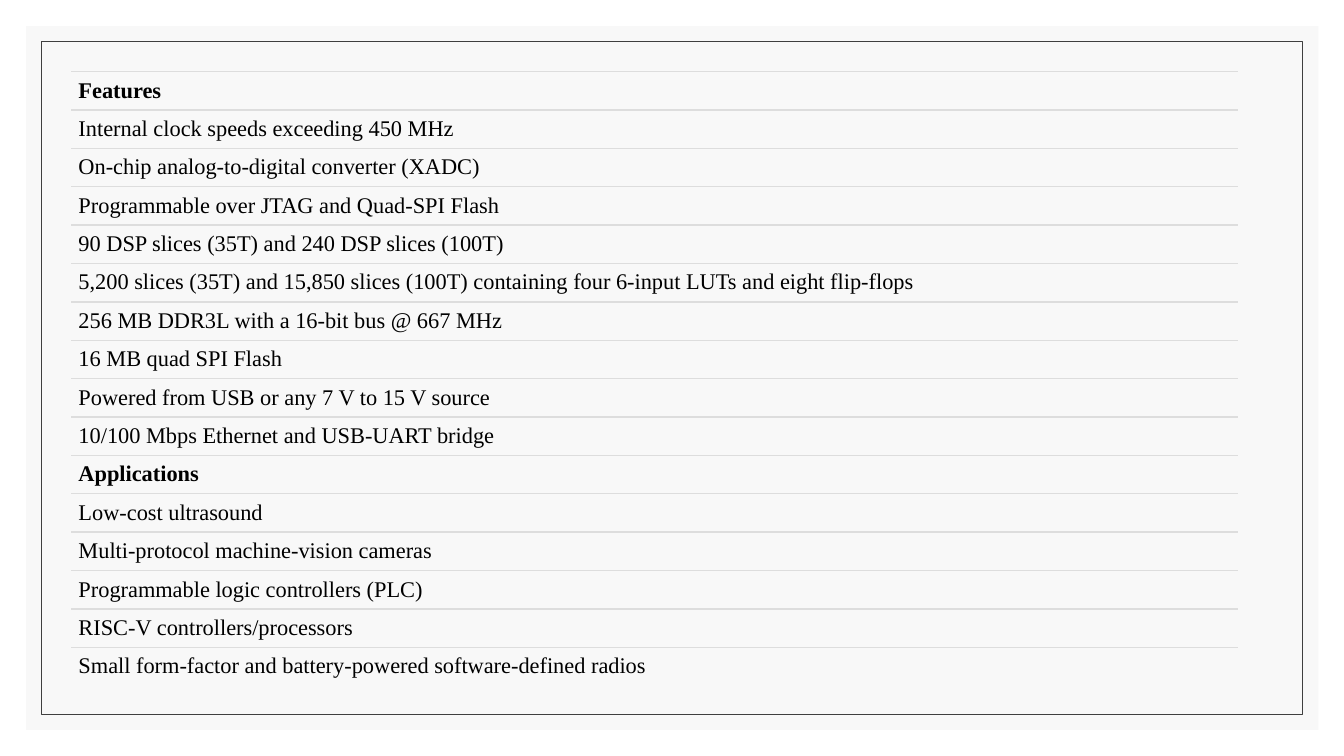
from lxml import etree
from pptx import Presentation
from pptx.dml.color import RGBColor
from pptx.enum import shapes, text
from pptx.oxml import ns
from pptx.util import Pt

BLACK = RGBColor(0x00, 0x00, 0x00)
PANEL_GREY = RGBColor(0xF8, 0xF8, 0xF8)
FRAME_GREY = RGBColor(0x3F, 0x3F, 0x3F)
RULE_GREY = RGBColor(0xDD, 0xDD, 0xDD)

FONT = "Times New Roman"
LIST_LEFT, LIST_TOP = 51, 51.1
LIST_WIDTH, ROW_HEIGHT = 833, 27.42
INSET = 5.1

SECTIONS = {
    "Features": [
        "Internal clock speeds exceeding 450 MHz",
        "On‐chip analog‐to‐digital converter (XADC)",
        "Programmable over JTAG and Quad‐SPI Flash",
        "90 DSP slices (35T) and 240 DSP slices (100T)",
        "5,200 slices (35T) and 15,850 slices (100T) containing four "
        "6‐input LUTs and eight flip‐flops",
        "256 MB DDR3L with a 16‐bit bus @ 667 MHz",
        "16 MB quad SPI Flash",
        "Powered from USB or any 7 V to 15 V source",
        "10/100 Mbps Ethernet and USB-UART bridge",
    ],
    "Applications": [
        "Low-cost ultrasound",
        "Multi-protocol machine-vision cameras",
        "Programmable logic controllers (PLC)",
        "RISC-V controllers/processors",
        "Small form-factor and battery-powered software-defined radios",
    ],
}


def add_rectangle(page, left, top, width, height, fill=None, line=None):
    box = page.shapes.add_shape(
        shapes.MSO_SHAPE.RECTANGLE, Pt(left), Pt(top), Pt(width), Pt(height))
    box.shadow.inherit = False
    if fill is None:
        box.fill.background()
    else:
        box.fill.solid()
        box.fill.fore_color.rgb = fill
    if line is None:
        box.line.fill.background()
    else:
        box.line.color.rgb = line
        box.line.width = Pt(0.75)


def add_rule(page, top):
    rule = page.shapes.add_connector(
        shapes.MSO_CONNECTOR.STRAIGHT, Pt(LIST_LEFT), Pt(top),
        Pt(LIST_LEFT + LIST_WIDTH), Pt(top))
    rule.line.color.rgb = RULE_GREY
    rule.line.width = Pt(1)
    properties = rule._element.spPr
    etree.SubElement(properties, ns.qn("a:effectLst"))


def add_row_text(page, top, wording, bold):
    box = page.shapes.add_textbox(
        Pt(LIST_LEFT), Pt(top), Pt(LIST_WIDTH), Pt(ROW_HEIGHT))
    frame = box.text_frame
    frame.word_wrap = True
    frame.vertical_anchor = text.MSO_ANCHOR.TOP
    frame.margin_left = frame.margin_right = Pt(INSET)
    frame.margin_top = frame.margin_bottom = Pt(INSET)
    frame.text = wording
    para = frame.paragraphs[0]
    para.line_spacing = 0.9
    span = para.runs[0]
    span.font.name = FONT
    span.font.size = Pt(16)
    span.font.bold = bold
    span.font.color.rgb = BLACK


def add_ruled_list(page):
    rows = []
    for heading, items in SECTIONS.items():
        rows.append((heading, True))
        rows.extend((item, False) for item in items)
    for index, (wording, bold) in enumerate(rows):
        top = LIST_TOP + index * ROW_HEIGHT
        add_rule(page, top)
        add_row_text(page, top, wording, bold)


def main():
    deck = Presentation()
    deck.slide_width, deck.slide_height = Pt(960), Pt(540)
    page = deck.slides.add_slide(deck.slide_layouts[6])
    add_rectangle(page, 18.7, 18.7, 923, 502.6, fill=PANEL_GREY)
    add_rectangle(page, 29.3, 29.5, 901.4, 481, line=FRAME_GREY)
    add_ruled_list(page)
    deck.save("out.pptx")


if __name__ == "__main__":
    main()
